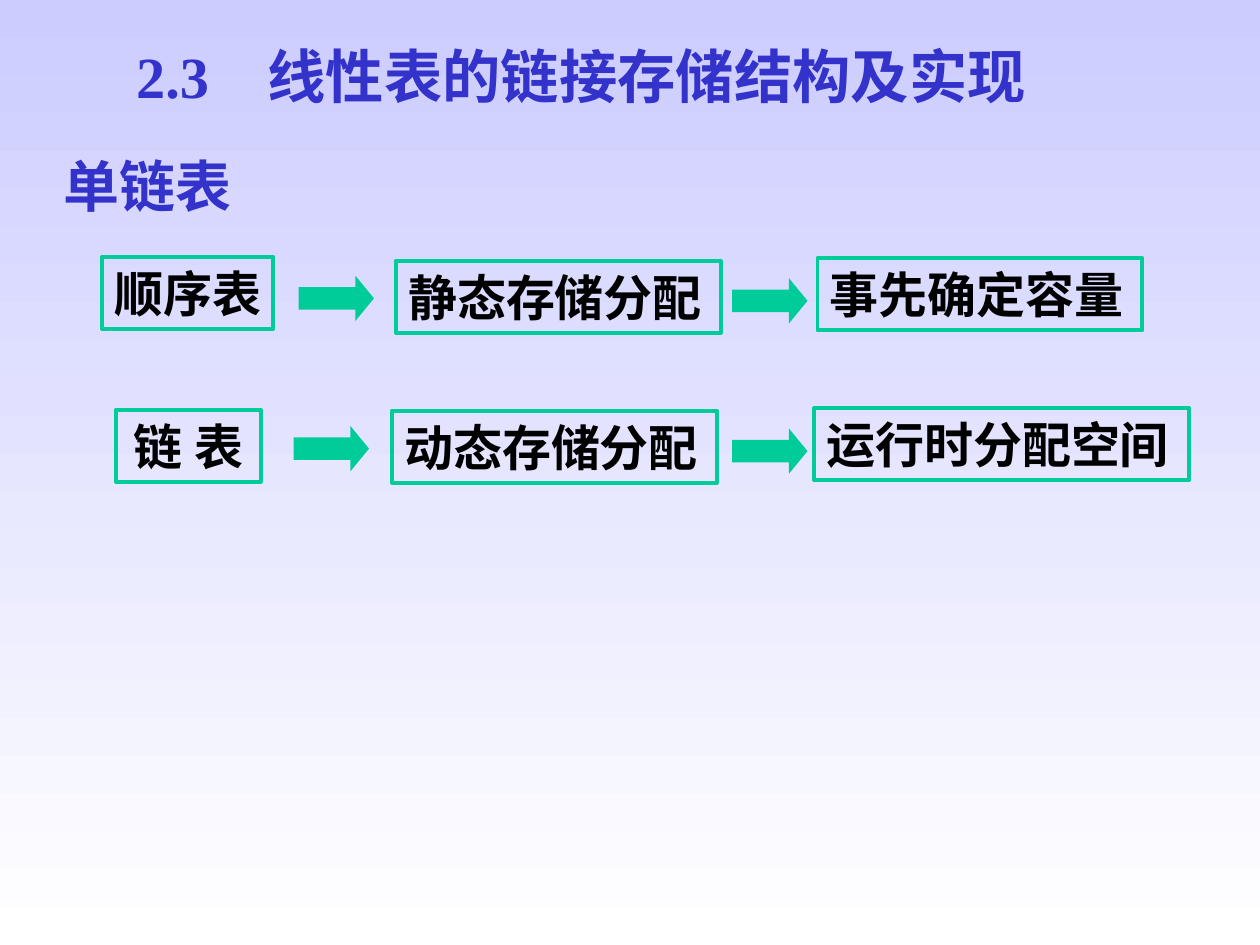
"""Build the slide that compares sequential lists with linked lists."""
from typing import NamedTuple

from lxml import etree
from pptx import Presentation
from pptx import util as u
from pptx.dml.color import RGBColor
from pptx.enum import shapes, text
from pptx.oxml import ns

BLUE = RGBColor(0x33, 0x33, 0xCC)
GREEN = RGBColor(0x00, 0xCC, 0x99)
BLACK = RGBColor(0, 0, 0)
LAVENDER = RGBColor(0xCC, 0xCC, 0xFF)
WHITE = RGBColor(0xFF, 0xFF, 0xFF)
CJK_FONT = "Noto Sans CJK SC"
BOX_HEIGHT = 1.45
ARROW_WIDTH, ARROW_HEIGHT = 1.52, 0.91


class Box(NamedTuple):
    label: str
    left: float
    top: float
    width: float
    font: str = CJK_FONT
    align: text.PP_ALIGN = text.PP_ALIGN.LEFT


class Arrow(NamedTuple):
    left: float
    top: float


class Row(NamedTuple):
    boxes: tuple[Box, ...]
    arrows: tuple[Arrow, ...]


ROWS = (
    Row(
        (
            Box("顺序表", 2.06, 5.18, 3.45, "Arial", text.PP_ALIGN.CENTER),
            Box("静态存储分配", 7.98, 5.26, 6.55),
            Box("事先确定容量", 16.48, 5.21, 6.55),
        ),
        (Arrow(6.02, 5.56), Arrow(14.76, 5.61)),
    ),
    Row(
        (
            Box("链 表", 2.34, 8.26, 2.92, "Arial", text.PP_ALIGN.CENTER),
            Box("动态存储分配", 7.9, 8.28, 6.55),
            Box("运行时分配空间", 16.41, 8.23, 7.57),
        ),
        (Arrow(5.92, 8.59), Arrow(14.76, 8.64)),
    ),
)


def write_text(shape, content: str, *, size: float, font: str, color: RGBColor,
               align=text.PP_ALIGN.LEFT, spacing: float = 1.0, wrap: bool = True) -> None:
    """Write one bold paragraph, centred vertically in the shape."""
    frame = shape.text_frame
    frame.word_wrap = wrap
    frame.auto_size = text.MSO_AUTO_SIZE.NONE
    frame.vertical_anchor = text.MSO_ANCHOR.MIDDLE
    paragraph = frame.paragraphs[0]
    paragraph.alignment = align
    paragraph.line_spacing = spacing
    run = paragraph.add_run()
    run.text = content
    run.font.name = font
    run.font.size = u.Pt(size)
    run.font.bold = True
    run.font.color.rgb = color
    properties = run._r.get_or_add_rPr()
    etree.SubElement(properties, ns.qn("a:ea"), typeface=CJK_FONT)


def draw_box(group, box: Box) -> None:
    """Draw an outlined box with its label."""
    shape = group.shapes.add_shape(
        shapes.MSO_SHAPE.RECTANGLE,
        u.Cm(box.left), u.Cm(box.top), u.Cm(box.width), u.Cm(BOX_HEIGHT))
    shape.shadow.inherit = False
    shape.fill.background()
    shape.line.color.rgb = GREEN
    shape.line.width = u.Pt(2.25)
    write_text(shape, box.label, size=28, font=box.font, color=BLACK, align=box.align,
               wrap=box.align != text.PP_ALIGN.CENTER)


def draw_arrow(group, arrow: Arrow) -> None:
    """Draw a solid block arrow."""
    shape = group.shapes.add_shape(
        shapes.MSO_SHAPE.RIGHT_ARROW,
        u.Cm(arrow.left), u.Cm(arrow.top), u.Cm(ARROW_WIDTH), u.Cm(ARROW_HEIGHT))
    shape.adjustments[0] = 0.5
    shape.adjustments[1] = 0.41
    shape.shadow.inherit = False
    shape.fill.solid()
    shape.fill.fore_color.rgb = GREEN
    shape.line.fill.background()


def paint_background(slide) -> None:
    """Fade the background from lavender at the top to white."""
    fill = slide.background.fill
    fill.gradient()
    fill.gradient_angle = 270
    for stop, color in zip(fill.gradient_stops, (LAVENDER, WHITE)):
        stop.color.rgb = color
    for stop, position in zip(fill.gradient_stops, (0, 1)):
        stop.position = position


def main() -> None:
    """Build and save the presentation."""
    presentation = Presentation()
    presentation.slide_width = u.Cm(25.4)
    presentation.slide_height = u.Cm(19.05)
    slide = presentation.slides.add_slide(presentation.slide_layouts[5])
    paint_background(slide)

    title = slide.shapes.title
    title.left, title.top = u.Cm(2.49), u.Cm(0.71)
    title.width, title.height = u.Cm(20.12), u.Cm(1.78)
    write_text(title, "2.3　线性表的链接存储结构及实现", size=33.3,
               font="Times New Roman", color=BLUE, spacing=0.9)
    subtitle = slide.shapes.add_textbox(u.Cm(1.04), u.Cm(2.9), u.Cm(9.07), u.Cm(1.83))
    write_text(subtitle, "单链表", size=32, font="Arial", color=BLUE, spacing=0.9)

    for row in ROWS:
        group = slide.shapes.add_group_shape()
        for box in row.boxes:
            draw_box(group, box)
        for arrow in row.arrows:
            draw_arrow(group, arrow)

    presentation.save("out.pptx")


if __name__ == "__main__":
    main()
